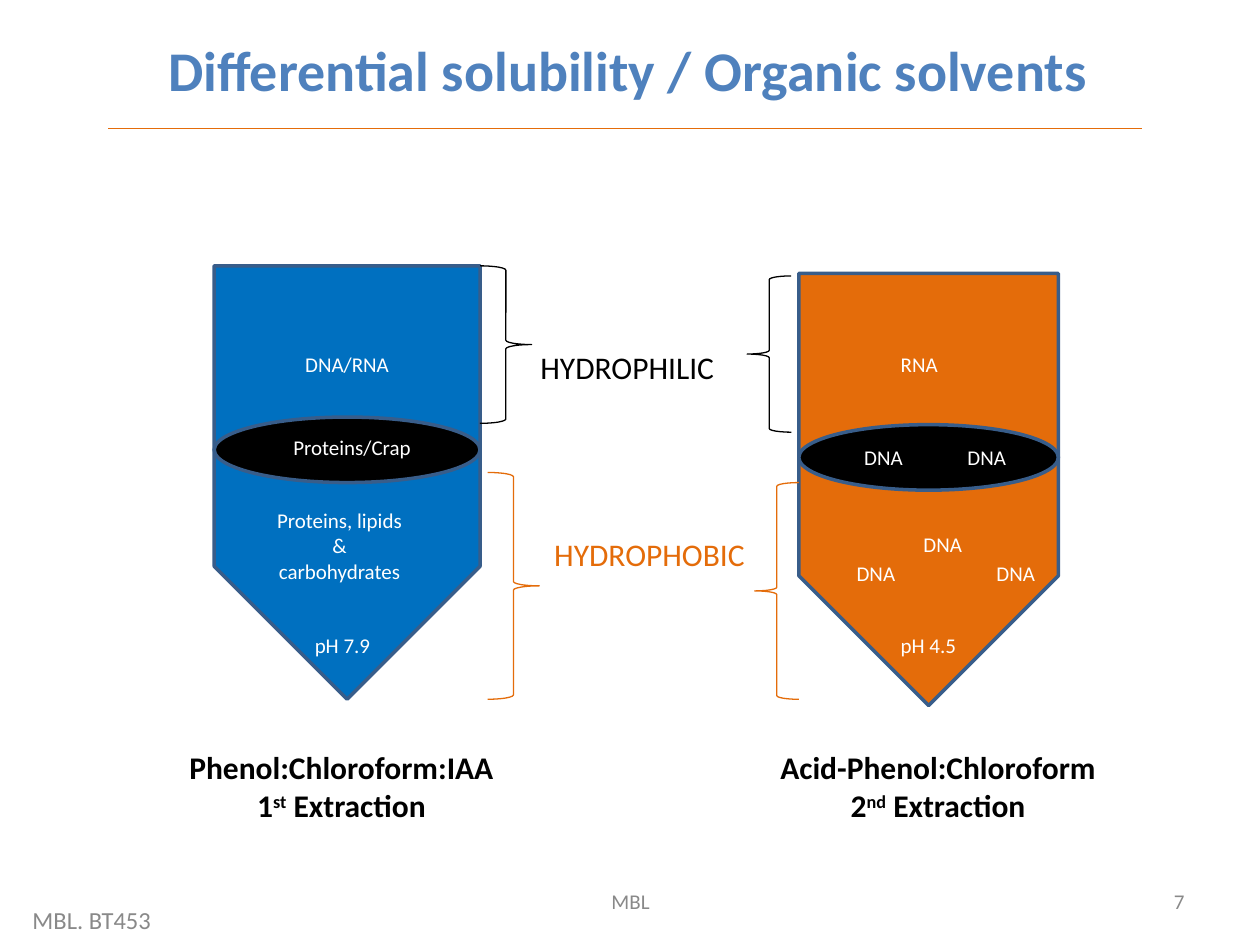
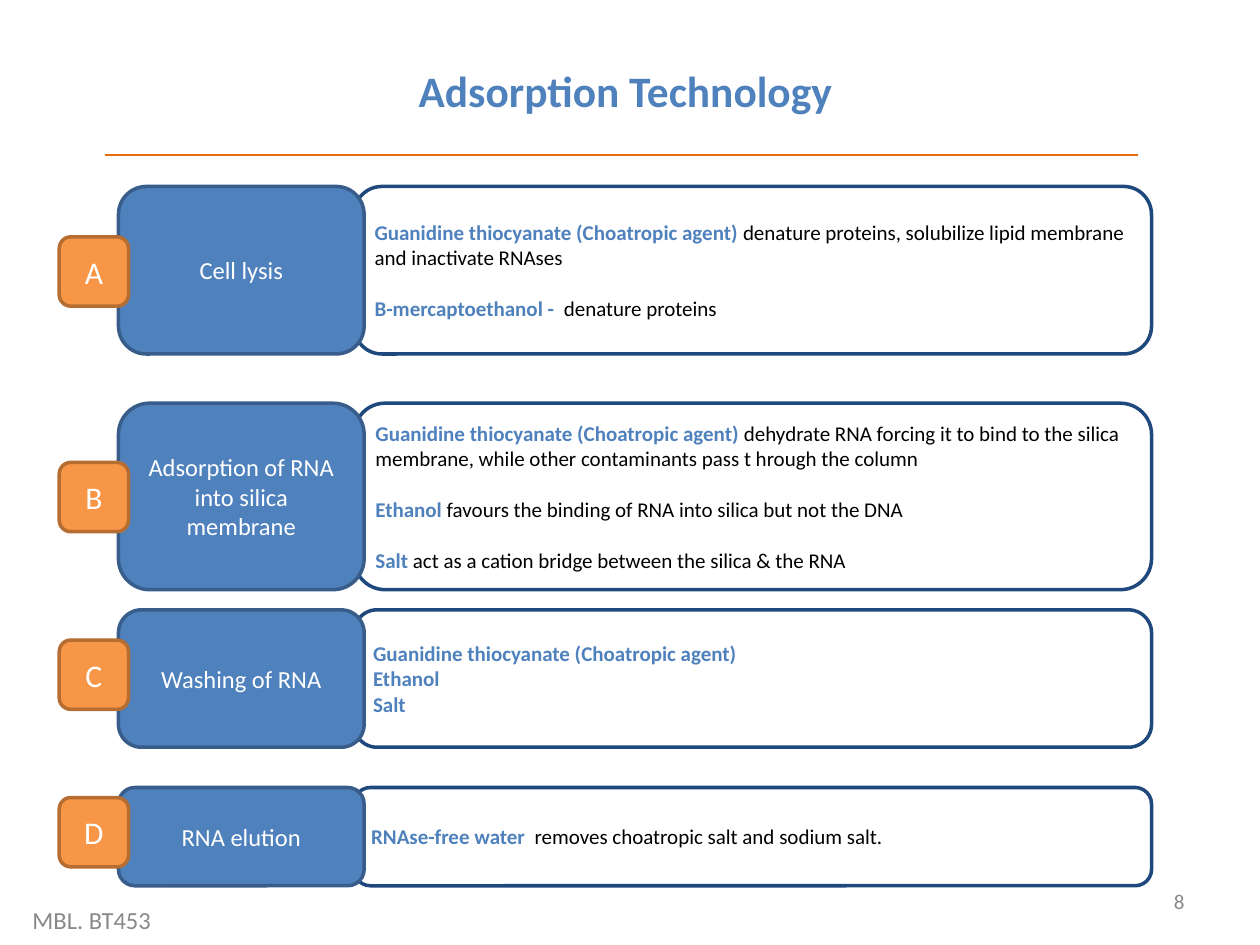
from dataclasses import dataclass
from typing import Optional

from lxml.etree import SubElement
from pptx import Presentation
from pptx.dml.color import RGBColor
from pptx.enum.shapes import MSO_CONNECTOR, MSO_SHAPE as Shape
from pptx.enum.text import MSO_ANCHOR as Anchor, MSO_AUTO_SIZE as AutoSize, PP_ALIGN as Align
from pptx.oxml.ns import qn
from pptx.util import Inches, Pt

FONT = "Calibri"
BLUE, ORANGE, NAVY = "4F81BD", "E46C0A", "1F497D"
BLACK, WHITE, GREY = "000000", "FFFFFF", "898989"
TUBE_BLUE, OUTLINE = "0070C0", "385D8A"
BADGE, BADGE_OUTLINE = "F79646", "B66D31"


@dataclass(frozen=True)
class Run:
    text: str
    color: str = BLACK
    bold: bool = False
    sup: bool = False


@dataclass(frozen=True)
class Box:
    left: float
    top: float
    width: float
    height: float

    def emu(self) -> list:
        return [Inches(v) for v in (self.left, self.top, self.width, self.height)]


@dataclass(frozen=True)
class Tube:
    box: Box
    fill: str
    solvent: str
    number: str
    suffix: str
    caption: Box


@dataclass(frozen=True)
class Label:
    text: str
    left: float
    top: float
    width: float
    height: float = 0.3
    size: float = 12
    color: str = WHITE
    align: Align = Align.LEFT
    wrap: bool = False


@dataclass(frozen=True)
class Brace:
    kind: Shape
    box: Box
    color: str


@dataclass(frozen=True)
class Step:
    letter: str
    name: str
    top: float
    height: float
    badge_top: float
    details: list
    gap: float = 0


def rgb(color: str) -> RGBColor:
    return RGBColor.from_string(color)


def write(tf, lines: list, size: float, align=Align.LEFT, anchor=Anchor.TOP,
          wrap: bool = True, spacing: Optional[float] = None, gap: float = 0) -> None:
    fit = AutoSize.NONE if wrap else AutoSize.SHAPE_TO_FIT_TEXT
    for name, value in {"word_wrap": wrap, "vertical_anchor": anchor,
                        "auto_size": fit}.items():
        setattr(tf, name, value)
    for i, line in enumerate(lines):
        p = tf.add_paragraph() if i else tf.paragraphs[0]
        space = Pt(gap if i else 0)
        for name, value in {"alignment": align, "line_spacing": spacing,
                            "space_before": space}.items():
            setattr(p, name, value)
        for run in line:
            r = p.add_run()
            r.text = run.text
            for name, value in {"name": FONT, "size": Pt(size), "bold": run.bold}.items():
                setattr(r.font, name, value)
            r.font.color.rgb = rgb(run.color)
            if run.sup:
                r._r.get_or_add_rPr().set("baseline", "30000")


def add_text(s, box: Box, lines: list, size: float, **options) -> None:
    write(s.shapes.add_textbox(*box.emu()).text_frame, lines, size, **options)


def paint(sp, fill: Optional[str], line: str, width: float = 2) -> None:
    sp.shadow.inherit = False
    if fill:
        sp.fill.solid()
        sp.fill.fore_color.rgb = rgb(fill)
    else:
        sp.fill.background()
    sp.line.color.rgb = rgb(line)
    sp.line.width = Pt(width)


def add_preset(s, kind: Shape, box: Box, fill: Optional[str], line: str, width: float = 2):
    sp = s.shapes.add_shape(kind, *box.emu())
    paint(sp, fill, line, width)
    return sp


def add_frame(prs, number: int, title: str, title_box: Box, size: float,
              rule_left: float, rule_top: float, spacing: Optional[float] = None):
    s = prs.slides.add_slide(prs.slide_layouts[6])
    rule = s.shapes.add_connector(MSO_CONNECTOR.STRAIGHT, Inches(rule_left), Inches(rule_top),
                                  Inches(rule_left + 8.2), Inches(rule_top))
    rule.line.color.rgb = rgb(ORANGE)
    rule.line.width = Pt(0.75)
    SubElement(rule._element.spPr, qn("a:effectLst"))
    add_text(s, title_box, [[Run(title, BLUE, True)]], size,
             align=Align.CENTER, spacing=spacing)
    add_text(s, Box(7.17, 6.95, 2.33, 0.4), [[Run(str(number), GREY)]], 12,
             align=Align.RIGHT, anchor=Anchor.MIDDLE)
    add_text(s, Box(0.16, 7.1, 3.5, 0.4), [[Run("MBL. BT453", GREY)]], 14,
             anchor=Anchor.MIDDLE)
    return s


def add_tube(s, tube: Tube) -> None:
    b = tube.box
    right, middle, bottom = b.left + b.width, b.left + b.width / 2, b.top + b.height
    shoulder = bottom - b.width / 2
    outline = s.shapes.build_freeform(Inches(b.left), Inches(b.top))
    points = [(right, b.top), (right, shoulder), (middle, bottom), (b.left, shoulder)]
    outline.add_line_segments([(Inches(x), Inches(y)) for x, y in points], close=True)
    paint(outline.convert_to_shape(), tube.fill, OUTLINE)
    add_preset(s, Shape.OVAL, Box(b.left, b.top + 1.2, b.width, 0.52), BLACK, OUTLINE)
    extraction = [Run(tube.number, bold=True), Run(tube.suffix, bold=True, sup=True),
                  Run(" Extraction", bold=True)]
    add_text(s, tube.caption, [[Run(tube.solvent, bold=True)], extraction], 18,
             align=Align.CENTER, wrap=False)


def add_label(s, label: Label) -> None:
    lines = [[Run(text, label.color)] for text in label.text.split("\n")]
    add_text(s, Box(label.left, label.top, label.width, label.height), lines, label.size,
             align=label.align, wrap=label.wrap)


def add_step(s, step: Step) -> None:
    card = add_preset(s, Shape.ROUNDED_RECTANGLE, Box(2.81, step.top, 6.33, step.height),
                      WHITE, NAVY)
    write(card.text_frame, step.details, 12, anchor=Anchor.MIDDLE, gap=step.gap)
    tiles = [
        (Box(0.94, step.top, 1.95, step.height), BLUE, OUTLINE, step.name, 14),
        (Box(0.47, step.badge_top, 0.55, 0.55), BADGE, BADGE_OUTLINE, step.letter, 18),
    ]
    for box, fill, line, text, size in tiles:
        sp = add_preset(s, Shape.ROUNDED_RECTANGLE, box, fill, line)
        write(sp.text_frame, [[Run(text, WHITE)]], size, align=Align.CENTER,
              anchor=Anchor.MIDDLE)


def detail(agent: str, effect: str = "") -> list:
    runs = [Run(agent, BLUE, True)]
    return runs + [Run(effect)] if effect else runs


TUBES = [
    Tube(Box(1.7, 2.11, 2.11, 3.44), TUBE_BLUE, "Phenol:Chloroform:IAA", "1", "st",
         Box(1.4, 5.89, 2.62, 0.7)),
    Tube(Box(6.34, 2.17, 2.06, 3.43), ORANGE, "Acid-Phenol:Chloroform", "2", "nd",
         Box(6.09, 5.89, 2.71, 0.7)),
]
DNA_SPOTS = [(6.76, 3.48), (7.58, 3.48), (7.23, 4.17), (6.7, 4.4), (7.81, 4.4)]
LABELS = [
    Label("pH 7.9", 2.4, 4.97, 0.66),
    Label("pH 4.5", 7.05, 4.97, 0.64),
    Label("Proteins/Crap", 2.23, 3.4, 1.14),
    Label("RNA", 7.05, 2.74, 0.52),
    Label("DNA/RNA", 1.99, 2.74, 1.53, align=Align.CENTER, wrap=True),
    Label("Proteins, lipids &\ncarbohydrates", 2.03, 3.98, 1.33, 0.7,
          align=Align.CENTER, wrap=True),
    Label("HYDROPHILIC", 4.19, 2.71, 1.58, 0.4, 18, BLACK),
    Label("HYDROPHOBIC", 4.3, 4.2, 1.71, 0.4, 18, ORANGE),
    *[Label("DNA", left, top, 0.52) for left, top in DNA_SPOTS],
]
BRACES = [
    Brace(Shape.RIGHT_BRACE, Box(3.81, 2.11, 0.41, 1.25), BLACK),
    Brace(Shape.LEFT_BRACE, Box(5.93, 2.19, 0.35, 1.24), BLACK),
    Brace(Shape.RIGHT_BRACE, Box(3.87, 3.75, 0.41, 1.8), ORANGE),
    Brace(Shape.LEFT_BRACE, Box(5.99, 3.83, 0.35, 1.72), ORANGE),
]
GUANIDINE = "Guanidine thiocyanate (Choatropic agent)"
LINE_GAP = 14.6
STEPS = [
    Step("A", "Cell lysis", 1.48, 1.33, 1.88, [
        detail(GUANIDINE + " ",
               "denature proteins, solubilize lipid membrane and inactivate RNAses"),
        detail("Β-mercaptoethanol -  ", "denature proteins"),
    ], LINE_GAP),
    Step("B", "Adsorption of RNA into silica membrane", 3.2, 1.48, 3.67, [
        detail(GUANIDINE + " ", "dehydrate RNA forcing it to bind to the silica membrane, "
               "while other contaminants pass t hrough the column"),
        detail("Ethanol", " favours the binding of RNA into silica but not the DNA"),
        detail("Salt ", "act as a cation bridge between the silica & the RNA"),
    ], LINE_GAP),
    Step("C", "Washing of RNA", 4.84, 1.09, 5.08,
         [detail(agent) for agent in (GUANIDINE, "Ethanol", "Salt")]),
    Step("D", "RNA elution", 6.25, 0.78, 6.33,
         [detail("RNAse-free water  ", "removes choatropic salt and sodium salt.")]),
]


def build_solubility(prs) -> None:
    s = add_frame(prs, 7, "Differential solubility / Organic solvents",
                  Box(0.9, 0.23, 8.17, 0.54), 32, 0.86, 1.02)
    add_text(s, Box(3.42, 6.95, 3.17, 0.4), [[Run("MBL", GREY)]], 12,
             align=Align.CENTER, anchor=Anchor.MIDDLE)
    for tube in TUBES:
        add_tube(s, tube)
    for label in LABELS:
        add_label(s, label)
    for brace in BRACES:
        add_preset(s, brace.kind, brace.box, None, brace.color, 0.75)


def build_adsorption(prs) -> None:
    s = add_frame(prs, 8, "Adsorption Technology ", Box(0.92, 0.54, 8.17, 0.54), 24.8,
                  0.83, 1.23, spacing=0.8)
    for step in STEPS:
        add_step(s, step)


def main() -> None:
    prs = Presentation()
    prs.slide_width, prs.slide_height = Inches(10), Inches(7.5)
    build_solubility(prs)
    build_adsorption(prs)
    prs.save("out.pptx")


if __name__ == "__main__":
    main()
